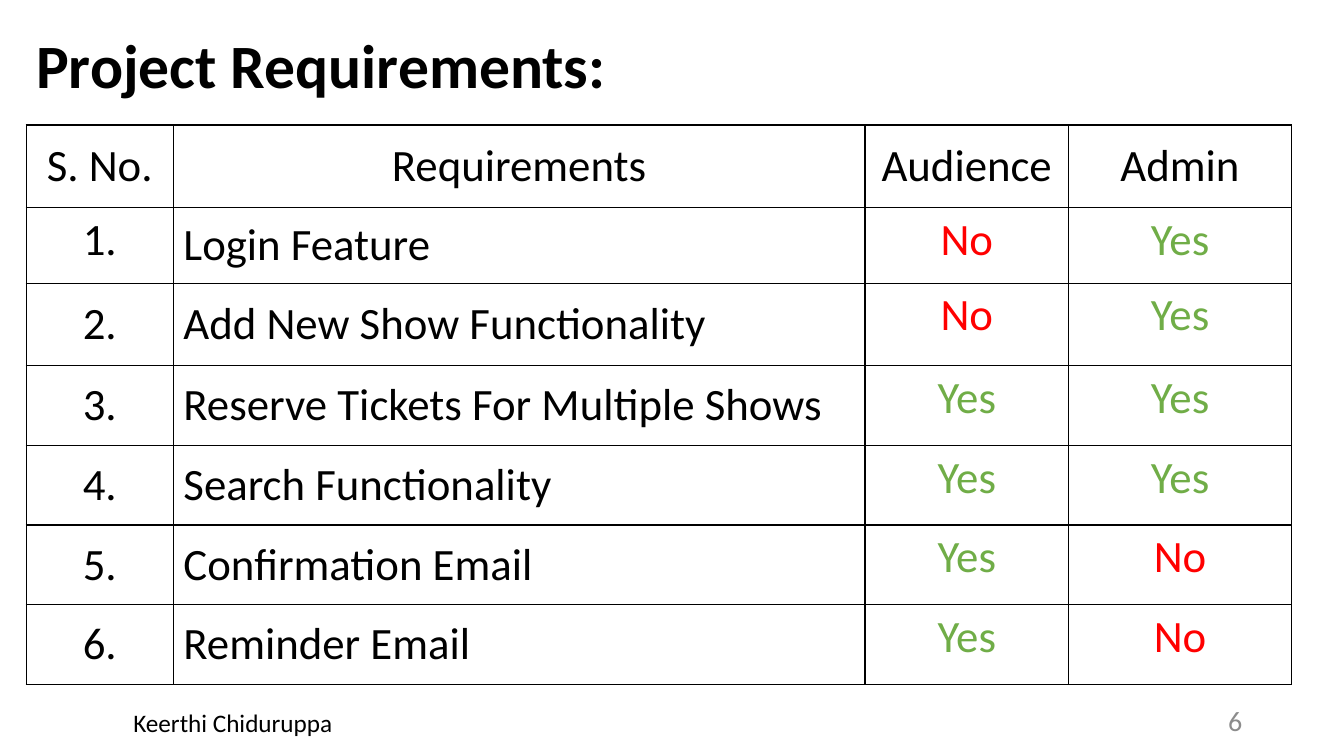
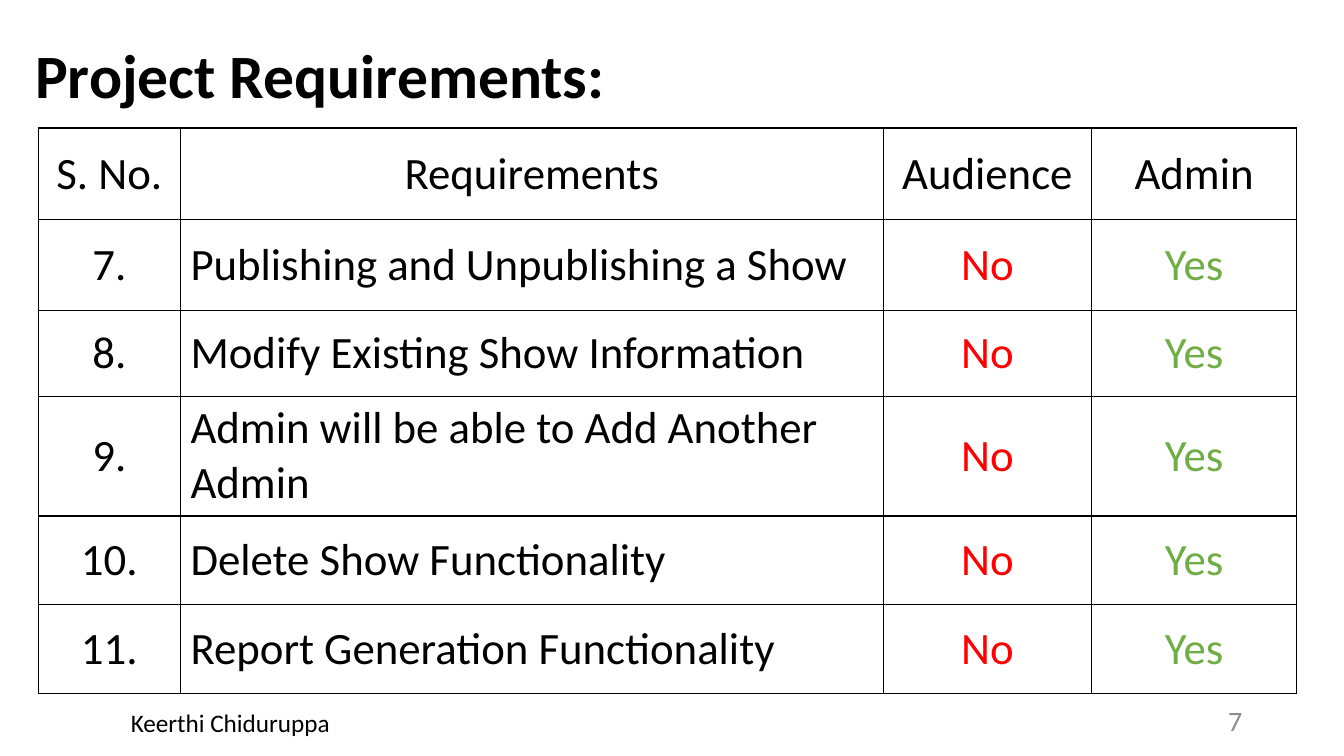
from lxml import etree
from pptx import Presentation
from pptx.dml.color import RGBColor
from pptx.enum import text
from pptx.oxml import ns
from pptx.util import Inches, Pt

BLACK = RGBColor(0x00, 0x00, 0x00)
RED = RGBColor(0xFF, 0x00, 0x00)
GREEN = RGBColor(0x70, 0xAD, 0x47)
GRAY = RGBColor(0x8C, 0x8C, 0x8C)
FONT = "Calibri"
LEFT, CENTER, RIGHT = text.PP_ALIGN.LEFT, text.PP_ALIGN.CENTER, text.PP_ALIGN.RIGHT
TOP, MIDDLE = text.MSO_ANCHOR.TOP, text.MSO_ANCHOR.MIDDLE
ANSWER_COLORS = {"Yes": GREEN, "No": RED}
HEADER = ("S. No.", "Requirements", "Audience", "Admin")

SLIDES = [
    {
        "page": 6,
        "title": (0.26, 0.13, 12.16, 1.09),
        "footer": (0.42, 6.97, 3.78, 0.4),
        "table": (0.26, 1.24),
        "cols": (1.46, 6.86, 2.02, 2.21),
        "heights": (0.82, 0.75, 0.82, 0.79, 0.79, 0.79, 0.79),
        "answer_anchor": TOP,
        "top_numbers": {1},
        "first": 1,
        "rows": [
            ("Login Feature", "No", "Yes"),
            ("Add New Show Functionality", "No", "Yes"),
            ("Reserve Tickets For Multiple Shows", "Yes", "Yes"),
            ("Search Functionality", "Yes", "Yes"),
            ("Confirmation Email", "Yes", "No"),
            ("Reminder Email", "Yes", "No"),
        ],
    },
    {
        "page": 7,
        "title": (0.25, 0.26, 12.16, 1.03),
        "footer": (0.42, 6.97, 3.73, 0.4),
        "table": (0.38, 1.27),
        "cols": (1.41, 6.97, 2.07, 2.03),
        "heights": (0.91, 0.9, 0.85, 1.19, 0.88, 0.88),
        "answer_anchor": MIDDLE,
        "top_numbers": set(),
        "first": 7,
        "rows": [
            ("Publishing and Unpublishing a Show", "No", "Yes"),
            ("Modify Existing Show Information", "No", "Yes"),
            ("Admin will be able to Add Another Admin", "No", "Yes"),
            ("Delete Show Functionality", "No", "Yes"),
            ("Report Generation Functionality", "No", "Yes"),
        ],
    },
]


def write(tf, words, size, color=BLACK, align=LEFT, bold=False):
    tf.word_wrap = True
    p = tf.paragraphs[0]
    p.alignment = align
    r = p.add_run()
    r.text = words
    r.font.name = FONT
    r.font.size = Pt(size)
    r.font.bold = bold
    r.font.color.rgb = color
    return p


def add_text(s, box, anchor, *args, **kwargs):
    sp = s.shapes.add_textbox(*map(Inches, box))
    sp.text_frame.vertical_anchor = anchor
    return write(sp.text_frame, *args, **kwargs)


prs = Presentation()
prs.slide_width = Inches(13.33)
prs.slide_height = Inches(7.5)

for page in SLIDES:
    s = prs.slides.add_slide(prs.slide_layouts[6])
    p = add_text(s, page["title"], MIDDLE, "Project Requirements:", 44, bold=True)
    p.line_spacing = 0.9

    cols, heights = page["cols"], page["heights"]
    box = (*page["table"], sum(cols), sum(heights))
    table = s.shapes.add_table(len(heights), len(cols), *map(Inches, box)).table
    table.first_row = table.horz_banding = False
    for column, width in zip(table.columns, cols):
        column.width = Inches(width)
    for row, height in zip(table.rows, heights):
        row.height = Inches(height)

    numbered = [(f"{n}.", *row) for n, row in enumerate(page["rows"], page["first"])]
    for i, row in enumerate([HEADER, *numbered]):
        for j, words in enumerate(row):
            cell = table.cell(i, j)
            is_answer = words in ANSWER_COLORS
            align = LEFT if i and j == 1 else CENTER
            write(cell.text_frame, words, 32, ANSWER_COLORS.get(words, BLACK), align)
            cell.vertical_anchor = page["answer_anchor"] if is_answer else MIDDLE
            if j == 0 and i in page["top_numbers"]:
                cell.vertical_anchor = TOP
            tcPr = cell._tc.get_or_add_tcPr()
            for side in ("lnL", "lnR", "lnT", "lnB"):
                ln = etree.SubElement(tcPr, ns.qn(f"a:{side}"), w=str(Pt(1)))
                fill = etree.SubElement(ln, ns.qn("a:solidFill"))
                etree.SubElement(fill, ns.qn("a:srgbClr"), val=str(BLACK))
            cell.fill.background()

    add_text(s, (9.42, 6.95, 3, 0.4), MIDDLE, str(page["page"]), 20, GRAY, RIGHT)
    add_text(s, page["footer"], TOP, "Keerthi Chiduruppa", 18, align=CENTER)

prs.save("out.pptx")
